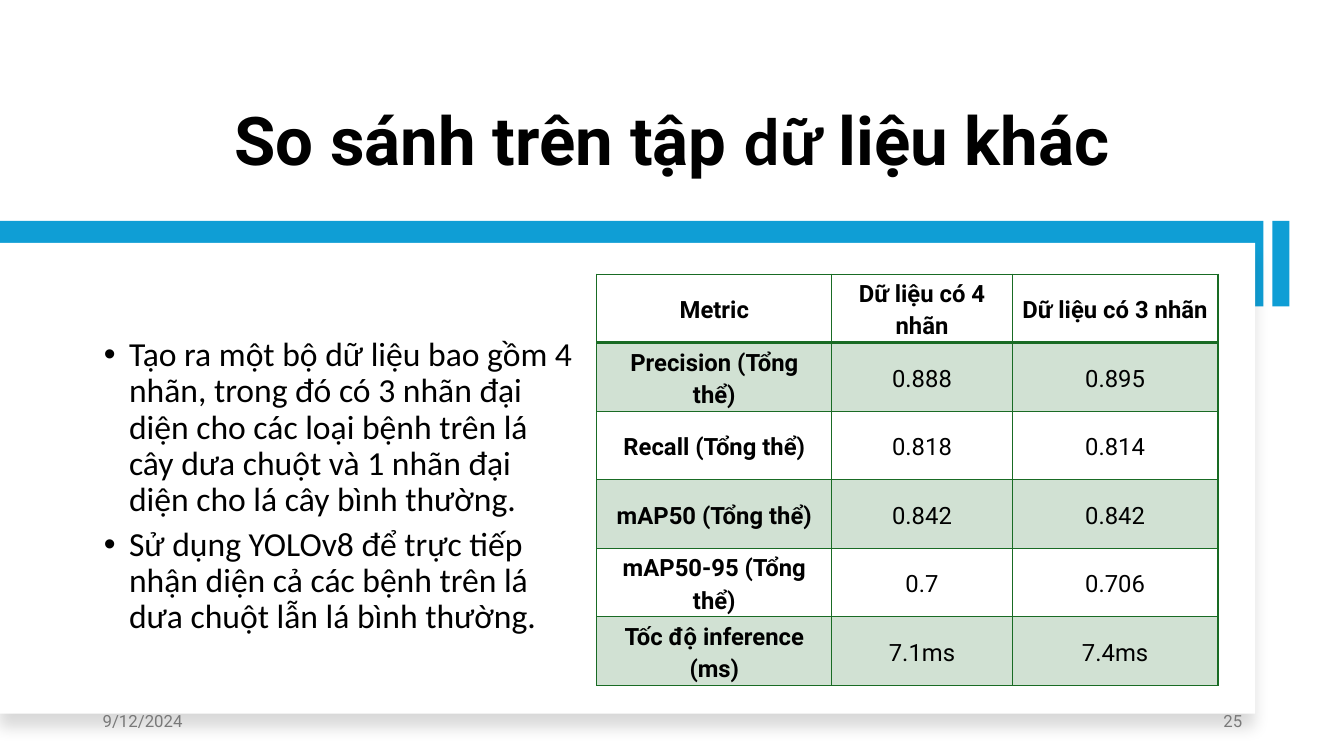
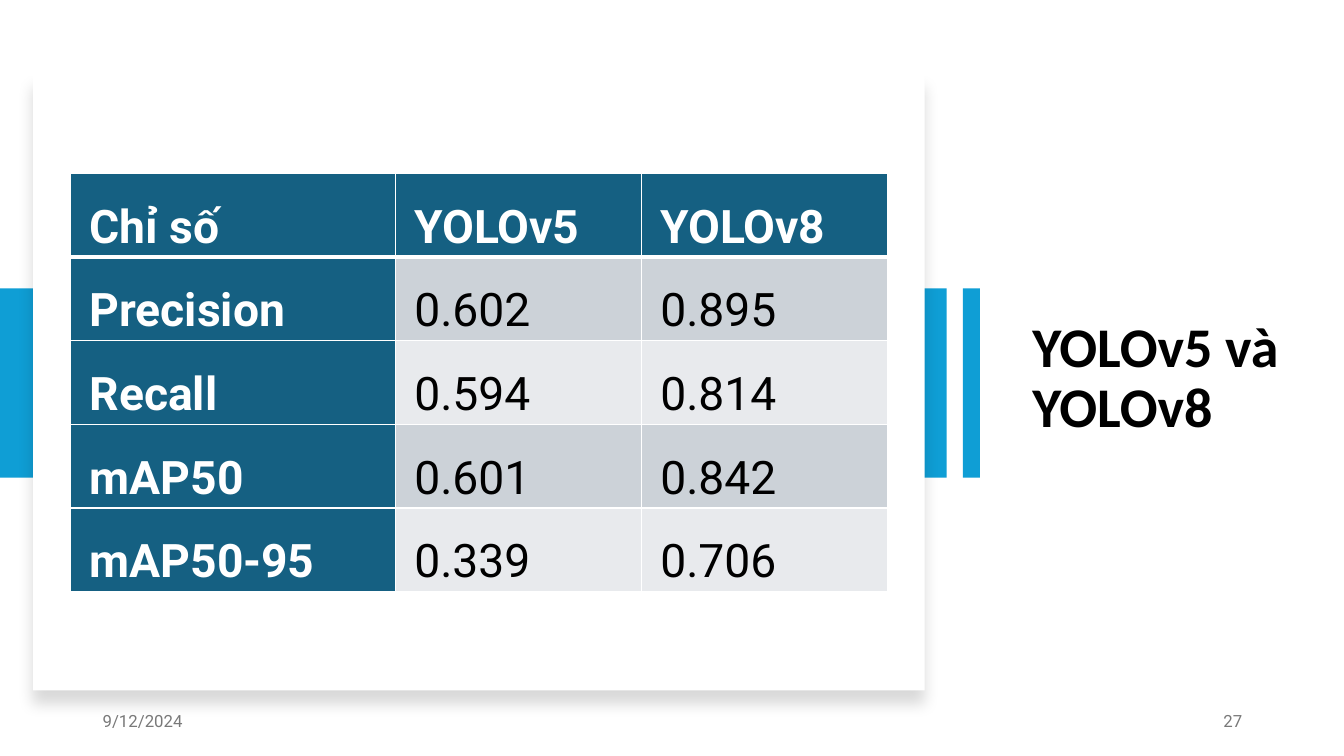
from lxml import etree
from pptx import Presentation
from pptx.dml.color import RGBColor
from pptx.enum.shapes import MSO_SHAPE
from pptx.enum.text import MSO_ANCHOR, MSO_AUTO_SIZE, PP_ALIGN
from pptx.oxml import parse_xml
from pptx.oxml.ns import nsdecls, qn
from pptx.util import Inches, Pt

RECT = MSO_SHAPE.RECTANGLE
TOP, MIDDLE, BOTTOM = MSO_ANCHOR.TOP, MSO_ANCHOR.MIDDLE, MSO_ANCHOR.BOTTOM
LEFT, CENTER = PP_ALIGN.LEFT, PP_ALIGN.CENTER
RIGHT, JUSTIFY = PP_ALIGN.RIGHT, PP_ALIGN.JUSTIFY
NO_FIT = MSO_AUTO_SIZE.NONE
TITLE_AND_CONTENT, TITLE_ONLY = 1, 5

COLORS = {
    "white": "FFFFFF", "black": "000000", "accent": "0F9ED5", "footer": "797979",
    "green": "196B24", "pale_green": "D1E1D3",
    "teal": "156082", "band_dark": "CCD2D8", "band_light": "E8EAED",
}
DATE = "9/12/2024"

DATASET_TITLE = [
    ("So sánh trên tập ", "Roboto"), ("dữ ", "Calibri"), ("liệu khác", "Roboto"),
]
DATASET_POINTS = [
    "Tạo ra một bộ dữ liệu bao gồm 4 nhãn, trong đó có 3 nhãn đại diện cho các "
    "loại bệnh trên lá cây dưa chuột và 1 nhãn đại diện cho lá cây bình thường.",
    "Sử dụng YOLOv8 để trực tiếp nhận diện cả các bệnh trên lá dưa chuột lẫn lá "
    "bình thường.",
]
DATASET_ROWS = [
    ("Metric", "Dữ liệu có 4 nhãn", "Dữ liệu có 3 nhãn"),
    ("Precision (Tổng thể)", "0.888", "0.895"),
    ("Recall (Tổng thể)", "0.818", "0.814"),
    ("mAP50 (Tổng thể)", "0.842", "0.842"),
    ("mAP50-95 (Tổng thể)", "0.7", "0.706"),
    ("Tốc độ inference (ms)", "7.1ms", "7.4ms"),
]
MODEL_TITLE = [("YOLOv5 và YOLOv8", "Calibri")]
MODEL_ROWS = [
    ("Chỉ số", "YOLOv5", "YOLOv8"),
    ("Precision", "0.602", "0.895"),
    ("Recall", "0.594", "0.814"),
    ("mAP50", "0.601", "0.842"),
    ("mAP50-95", "0.339", "0.706"),
]

# head is the fill of header cells, bands the fills of odd and even body rows
DATASET_STYLE = {
    "size": 17, "align": CENTER, "spacing": 1.15, "anchor": MIDDLE, "inset": 0.1,
    "line": "green", "header_rule": 2, "head": None, "head_text": "black",
    "bands": ("pale_green", None), "label_fill": False,
}
MODEL_STYLE = {
    "size": 33, "align": JUSTIFY, "spacing": 1.5, "anchor": TOP, "inset": 0.19,
    "line": "white", "header_rule": 3, "head": "teal", "head_text": "white",
    "bands": ("band_dark", "band_light"), "label_fill": True,
}


def rgb(name):
    return RGBColor.from_string(COLORS[name])


def place(sp, box):
    sp.left, sp.top, sp.width, sp.height = map(Inches, box)


def add_run(p, text, size, font="Roboto", color="black", bold=False):
    r = p.add_run()
    r.text = text
    r.font.size, r.font.name, r.font.bold = Pt(size), font, bold
    r.font.color.rgb = rgb(color)


def add_rect(slide, box, color):
    sp = slide.shapes.add_shape(RECT, *map(Inches, box))
    sp.shadow.inherit = False
    sp.fill.solid()
    sp.fill.fore_color.rgb = rgb(color)
    sp.line.fill.background()
    return sp


def add_panel(slide, box):
    """White card with a soft shadow below it."""
    effects = add_rect(slide, box, "white").element.spPr.find(qn("a:effectLst"))
    effects.append(parse_xml(
        f'<a:outerShdw {nsdecls("a")} blurRad="{Pt(11)}" dist="{Pt(10)}" '
        'dir="5400000" algn="t" rotWithShape="0">'
        f'<a:srgbClr val="{COLORS["black"]}"><a:alpha val="15000"/></a:srgbClr>'
        '</a:outerShdw>'))


def set_title(slide, box, runs, size, align, anchor):
    title = slide.shapes.title
    place(title, box)
    tf = title.text_frame
    tf.auto_size, tf.vertical_anchor, tf.word_wrap = NO_FIT, anchor, True
    p = tf.paragraphs[0]
    p.alignment, p.line_spacing = align, 0.9
    for text, font in runs:
        add_run(p, text, size, font, bold=True)


def set_bullets(body, box, items):
    place(body, box)
    body.element.getparent().append(body.element)  # in front of the panel
    tf = body.text_frame
    tf.auto_size, tf.vertical_anchor, tf.word_wrap = NO_FIT, MIDDLE, True
    for i, text in enumerate(items):
        p = tf.add_paragraph() if i else tf.paragraphs[0]
        pPr = p._p.get_or_add_pPr()
        pPr.set("marL", str(Inches(0.31)))
        pPr.set("indent", str(Inches(-0.25)))
        etree.SubElement(pPr, qn("a:buFont"), typeface="Arial")
        etree.SubElement(pPr, qn("a:buChar"), char="•")
        p.alignment, p.line_spacing = LEFT, 0.9
        p.space_before, p.space_after = Pt(0), Pt(6)
        add_run(p, text, 24, "Calibri")


def set_borders(cell, color, top, bottom):
    tcPr = cell._tc.get_or_add_tcPr()
    for side, width in (("L", 1), ("R", 1), ("T", top), ("B", bottom)):
        tcPr.append(parse_xml(
            f'<a:ln{side} {nsdecls("a")} w="{Pt(width)}"><a:solidFill>'
            f'<a:srgbClr val="{COLORS[color]}"/></a:solidFill></a:ln{side}>'))


def add_metric_table(slide, left, top, widths, row_height, rows, style):
    frame = slide.shapes.add_table(
        len(rows), len(widths), Inches(left), Inches(top),
        Inches(sum(widths)), Inches(row_height * len(rows)))
    table = frame.table
    table.first_row = table.horz_banding = False
    for column, width in zip(table.columns, widths):
        column.width = Inches(width)
    for i, row in enumerate(rows):
        for j, text in enumerate(row):
            cell = table.cell(i, j)
            is_head = i == 0 or j == 0
            rule = style["header_rule"]
            set_borders(cell, style["line"], rule if i == 1 else 1, rule if i == 0 else 1)
            filled_head = i == 0 or (j == 0 and style["label_fill"])
            fill = style["head"] if filled_head else style["bands"][(i - 1) % 2]
            if fill:
                cell.fill.solid()
                cell.fill.fore_color.rgb = rgb(fill)
            else:
                cell.fill.background()
            cell.margin_left = cell.margin_right = Inches(style["inset"])
            cell.margin_top = cell.margin_bottom = 0
            cell.vertical_anchor = style["anchor"]
            p = cell.text_frame.paragraphs[0]
            p.alignment, p.line_spacing = style["align"], style["spacing"]
            add_run(p, text, style["size"], bold=is_head,
                    color=style["head_text"] if is_head else "black")


def add_footer(slide, number):
    for left, text, align in ((0.92, DATE, LEFT), (9.42, str(number), RIGHT)):
        sp = slide.shapes.add_textbox(*map(Inches, (left, 6.95, 3, 0.4)))
        tf = sp.text_frame
        tf.word_wrap, tf.vertical_anchor = True, MIDDLE
        p = tf.paragraphs[0]
        p.alignment = align
        add_run(p, text, 12, color="footer")


def add_backdrop(slide, band, panel, tick):
    """Blue band behind a white panel, with a thin blue tick to its right."""
    add_rect(slide, band, "accent")
    add_panel(slide, panel)
    add_rect(slide, tick, "accent")


def build_dataset_slide(prs):
    slide = prs.slides.add_slide(prs.slide_layouts[TITLE_AND_CONTENT])
    set_title(slide, (1.16, 0.86, 11.01, 0.98), DATASET_TITLE, 48, CENTER, BOTTOM)
    add_backdrop(slide, (0, 2.19, 12.53, 0.85), (0, 2.41, 12.45, 4.67),
                 (12.62, 2.19, 0.17, 0.85))
    set_bullets(slide.placeholders[1], (0.87, 2.84, 4.96, 3.98), DATASET_POINTS)
    add_metric_table(slide, 5.92, 2.72, (2.33, 1.79, 2.04), 0.68,
                     DATASET_ROWS, DATASET_STYLE)
    add_footer(slide, 25)


def build_model_slide(prs):
    slide = prs.slides.add_slide(prs.slide_layouts[TITLE_ONLY])
    set_title(slide, (10.14, 2.21, 2.7, 3.11), MODEL_TITLE, 40, LEFT, MIDDLE)
    add_backdrop(slide, (0, 2.86, 9.39, 1.88), (0.33, 0.73, 8.84, 6.12),
                 (9.55, 2.86, 0.17, 1.88))
    add_metric_table(slide, 0.7, 1.72, (3.22, 2.44, 2.44), 0.83,
                     MODEL_ROWS, MODEL_STYLE)
    add_footer(slide, 27)


def main():
    prs = Presentation()
    prs.slide_width, prs.slide_height = Inches(13.33), Inches(7.5)
    build_dataset_slide(prs)
    build_model_slide(prs)
    prs.save("out.pptx")


if __name__ == "__main__":
    main()
